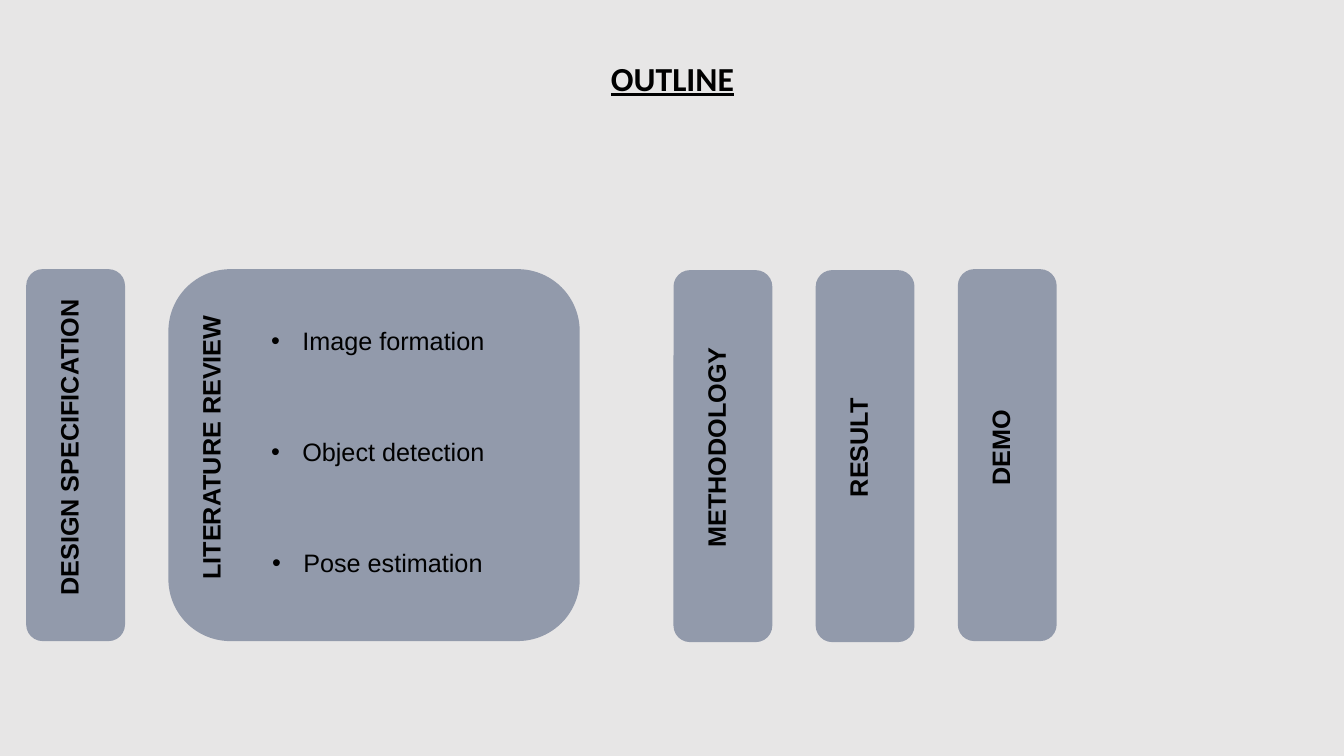
import pptx
import pptx.dml.color
import pptx.enum.shapes
import pptx.enum.text
import pptx.oxml
import pptx.oxml.ns
import pptx.util
from pptx.util import Inches

BACKGROUND = pptx.dml.color.RGBColor(0xE7, 0xE6, 0xE6)
PANEL = pptx.dml.color.RGBColor(0x92, 0x9A, 0xAB)
BLACK = pptx.dml.color.RGBColor(0x00, 0x00, 0x00)


def add_run(paragraph, text, size, font_name, bold):
    run = paragraph.add_run()
    run.text = text
    run.font.size = pptx.util.Pt(size)
    run.font.name = font_name
    run.font.bold = bold
    run.font.color.rgb = BLACK
    return run


presentation = pptx.Presentation()
presentation.slide_width = Inches(13.33)
presentation.slide_height = Inches(7.5)
slide = presentation.slides.add_slide(presentation.slide_layouts[5])
slide.background.fill.solid()
slide.background.fill.fore_color.rgb = BACKGROUND

title = slide.shapes.title
title.left, title.top = Inches(5.11), Inches(0.52)
title.width, title.height = Inches(3.12), Inches(0.5)
title.text_frame.auto_size = pptx.enum.text.MSO_AUTO_SIZE.NONE
title.text_frame.vertical_anchor = pptx.enum.text.MSO_ANCHOR.TOP
title_paragraph = title.text_frame.paragraphs[0]
title_paragraph.alignment = pptx.enum.text.PP_ALIGN.CENTER
add_run(title_paragraph, "OUTLINE", 24, "Calibri", True).font.underline = True

panels = [
    ("DESIGN SPECIFICATION", 0.26, 2.67, 0.98),
    ("LITERATURE REVIEW", 1.67, 2.67, 4.08),
    ("METHODOLOGY", 6.68, 2.68, 0.98),
    ("RESULT", 8.09, 2.68, 0.98),
    ("DEMO", 9.5, 2.67, 0.98),
]
for heading, left, top, width in panels:
    panel = slide.shapes.add_shape(
        pptx.enum.shapes.MSO_SHAPE.ROUNDED_RECTANGLE,
        Inches(left), Inches(top), Inches(width), Inches(3.69))
    panel.shadow.inherit = False
    panel.fill.solid()
    panel.fill.fore_color.rgb = PANEL
    panel.line.fill.background()

    label = slide.shapes.add_textbox(
        Inches(left + 0.22), Inches(2.87), Inches(0.5), Inches(3.14))
    label.text_frame.word_wrap = True
    label.element.txBody.bodyPr.set("vert", "vert270")
    label_paragraph = label.text_frame.paragraphs[0]
    label_paragraph.alignment = pptx.enum.text.PP_ALIGN.CENTER
    add_run(label_paragraph, heading, 18, "Arial", True)

topics = [("Image formation", 2.59), ("Object detection", 2.59), ("Pose estimation", 2.6)]
for index, (topic, left) in enumerate(topics):
    topic_box = slide.shapes.add_textbox(
        Inches(left), Inches(3.18 + 1.1 * index), Inches(2.78), Inches(0.71))
    topic_box.text_frame.word_wrap = True
    topic_paragraph = topic_box.text_frame.paragraphs[0]
    properties = topic_paragraph._p.get_or_add_pPr()
    properties.set("marL", str(Inches(0.31)))
    properties.set("indent", str(-Inches(0.31)))
    bullet_font = pptx.oxml.parse_xml(
        f'<a:buFont {pptx.oxml.ns.nsdecls("a")} typeface="Arial"/>')
    bullet = pptx.oxml.parse_xml(
        f'<a:buChar {pptx.oxml.ns.nsdecls("a")} char="•"/>')
    properties.extend([bullet_font, bullet])
    add_run(topic_paragraph, topic, 18, "Arial", False)

presentation.save("out.pptx")
